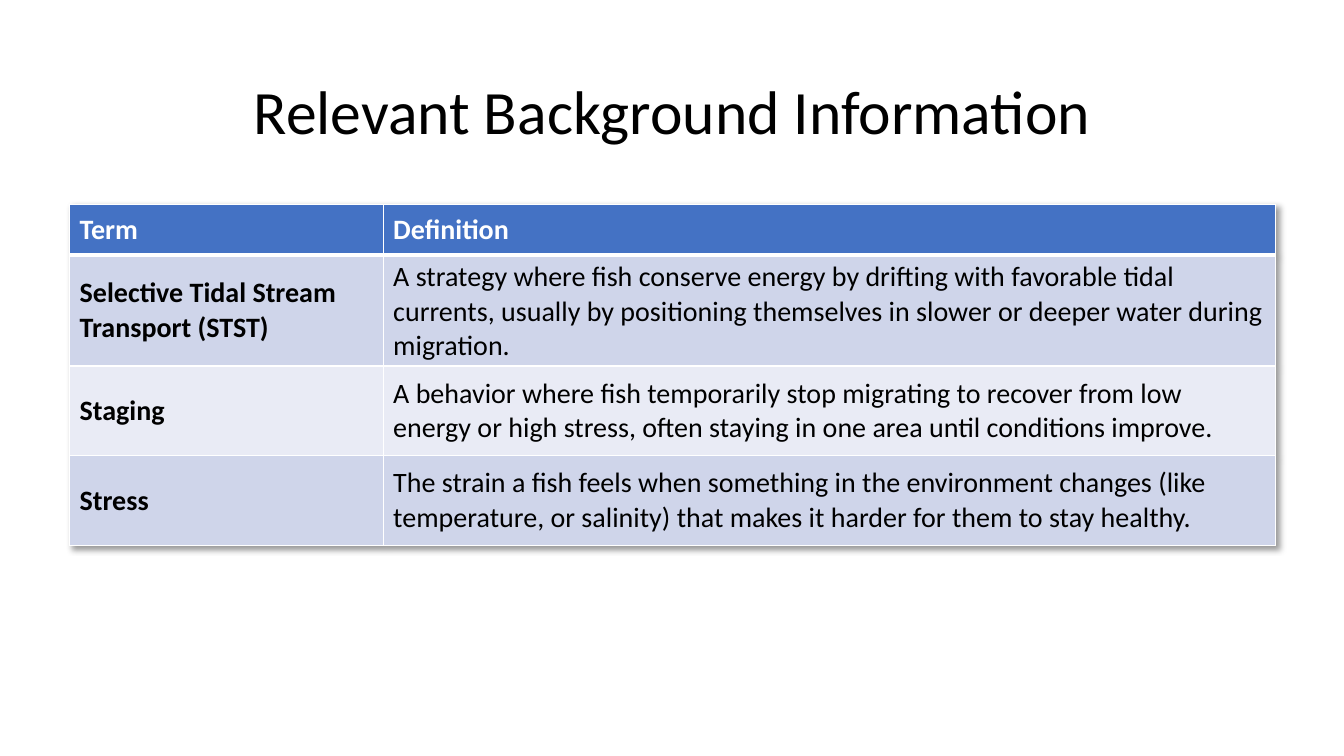
from lxml.etree import SubElement
from pptx import Presentation
from pptx.dml.color import RGBColor
from pptx.enum.text import MSO_ANCHOR, PP_ALIGN
from pptx.oxml import parse_xml
from pptx.oxml.ns import nsdecls, qn
from pptx.util import Inches, Pt

WIDTH, HEIGHT = 13.33, 7.5
COLUMNS = (3.11, 8.85)
ROWS = (0.5, 0.89, 0.89, 0.89)
HEADER_FILL = "4472C4"
BAND_FILLS = ("CFD5EA", "E9EBF5")
TITLE_FONT = {"name": "Calibri", "size": Pt(44), "bold": False}
CELL_FONT = {"name": "Calibri", "size": Pt(20)}
ENTRIES = (
    ("Term", "Definition"),
    ("Selective Tidal Stream Transport (STST)",
     "A strategy where fish conserve energy by drifting with favorable tidal currents, "
     "usually by positioning themselves in slower or deeper water during migration."),
    ("Staging",
     "A behavior where fish temporarily stop migrating to recover from low energy "
     "or high stress, often staying in one area until conditions improve."),
    ("Stress",
     "The strain a fish feels when something in the environment changes (like temperature, "
     "or salinity) that makes it harder for them to stay healthy."),
)


def paint(target, color):
    """Give a font or fill a solid colour from a hex string."""
    if hasattr(target, "solid"):
        target.solid()
        target.fore_color.rgb = RGBColor.from_string(color)
    else:
        target.color.rgb = RGBColor.from_string(color)


def write(frame, text, color, font, **paragraph_format):
    """Write one formatted paragraph into a text frame."""
    para = frame.paragraphs[0]
    span = para.add_run()
    span.text = text
    for target, values in ((span.font, font), (para, paragraph_format)):
        for name, value in values.items():
            setattr(target, name, value)
    paint(span.font, color)


def add_title(page, text):
    """Add the centred slide title."""
    box = page.shapes.add_textbox(Inches(0.92), Inches(0.41), Inches(11.5), Inches(1.45))
    frame = box.text_frame
    frame.word_wrap = True
    frame.vertical_anchor = MSO_ANCHOR.MIDDLE
    write(frame, text, "000000", TITLE_FONT, alignment=PP_ALIGN.CENTER, line_spacing=0.9)


def add_borders(cell, widths):
    """Draw white cell borders with a width in points per side."""
    properties = cell._tc.get_or_add_tcPr()
    for side, width in widths.items():
        line = SubElement(properties, qn(f"a:ln{side}"), w=str(Pt(width)))
        fill = SubElement(line, qn("a:solidFill"))
        SubElement(fill, qn("a:srgbClr"), val="FFFFFF")


def add_shadow(table):
    """Cast a soft shadow to the lower right of the table."""
    table._tbl.tblPr.insert(0, parse_xml(
        f'<a:effectLst {nsdecls("a")}>'
        '<a:outerShdw blurRad="50800" dist="38100" dir="2700000" algn="tl" rotWithShape="0">'
        '<a:srgbClr val="000000"><a:alpha val="40000"/></a:srgbClr>'
        '</a:outerShdw></a:effectLst>'))


def add_glossary(page, entries):
    """Add the banded table of terms and definitions."""
    table = page.shapes.add_table(
        len(ROWS), len(COLUMNS), Inches(0.69), Inches(2.03),
        Inches(sum(COLUMNS)), Inches(sum(ROWS))).table
    for column, width in zip(table.columns, COLUMNS):
        column.width = Inches(width)
    for row, height in zip(table.rows, ROWS):
        row.height = Inches(height)
    add_shadow(table)
    for row_index, entry in enumerate(entries):
        header = row_index == 0
        for column_index, text in enumerate(entry):
            cell = table.cell(row_index, column_index)
            cell.vertical_anchor = MSO_ANCHOR.MIDDLE
            add_borders(cell, {"L": 1, "R": 1, "T": 3 if row_index == 1 else 1,
                               "B": 3 if header else 1})
            paint(cell.fill, HEADER_FILL if header else BAND_FILLS[(row_index - 1) % 2])
            write(cell.text_frame, text, "FFFFFF" if header else "000000",
                  {**CELL_FONT, "bold": header or column_index == 0})


def main():
    """Build and save the slide."""
    deck = Presentation()
    deck.slide_width, deck.slide_height = Inches(WIDTH), Inches(HEIGHT)
    page = deck.slides.add_slide(deck.slide_layouts[6])
    add_title(page, "Relevant Background Information")
    add_glossary(page, ENTRIES)
    deck.save("out.pptx")


if __name__ == "__main__":
    main()
